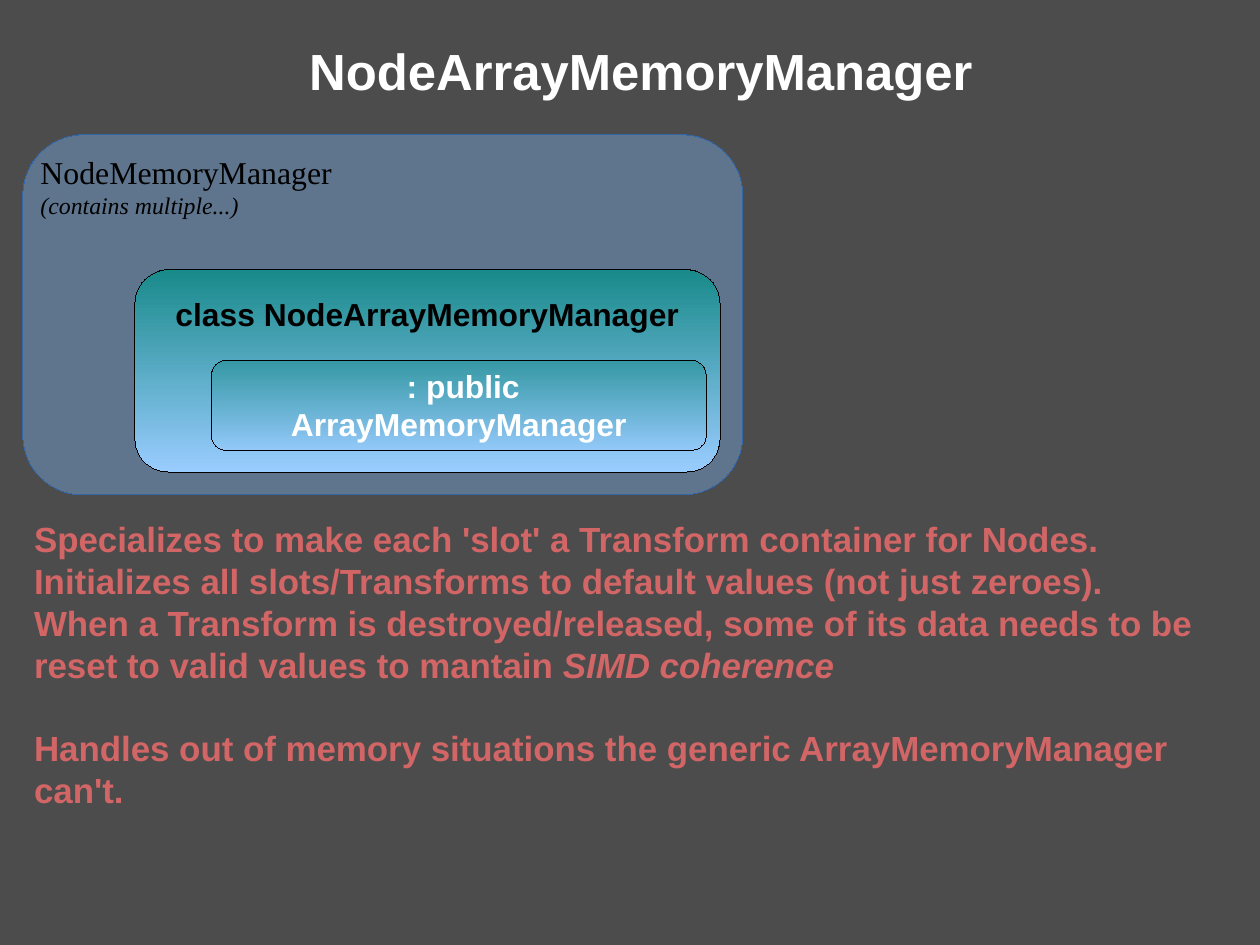
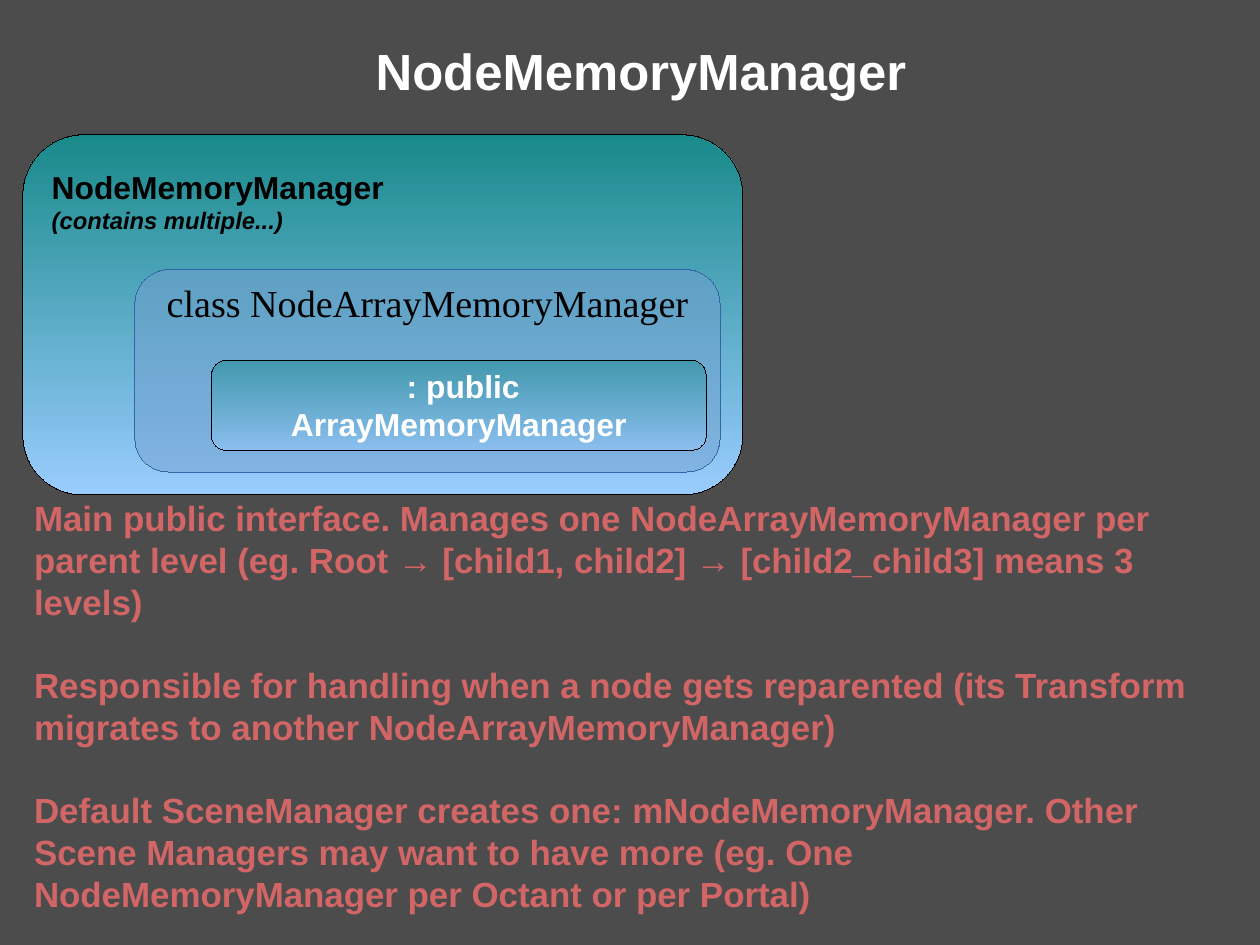
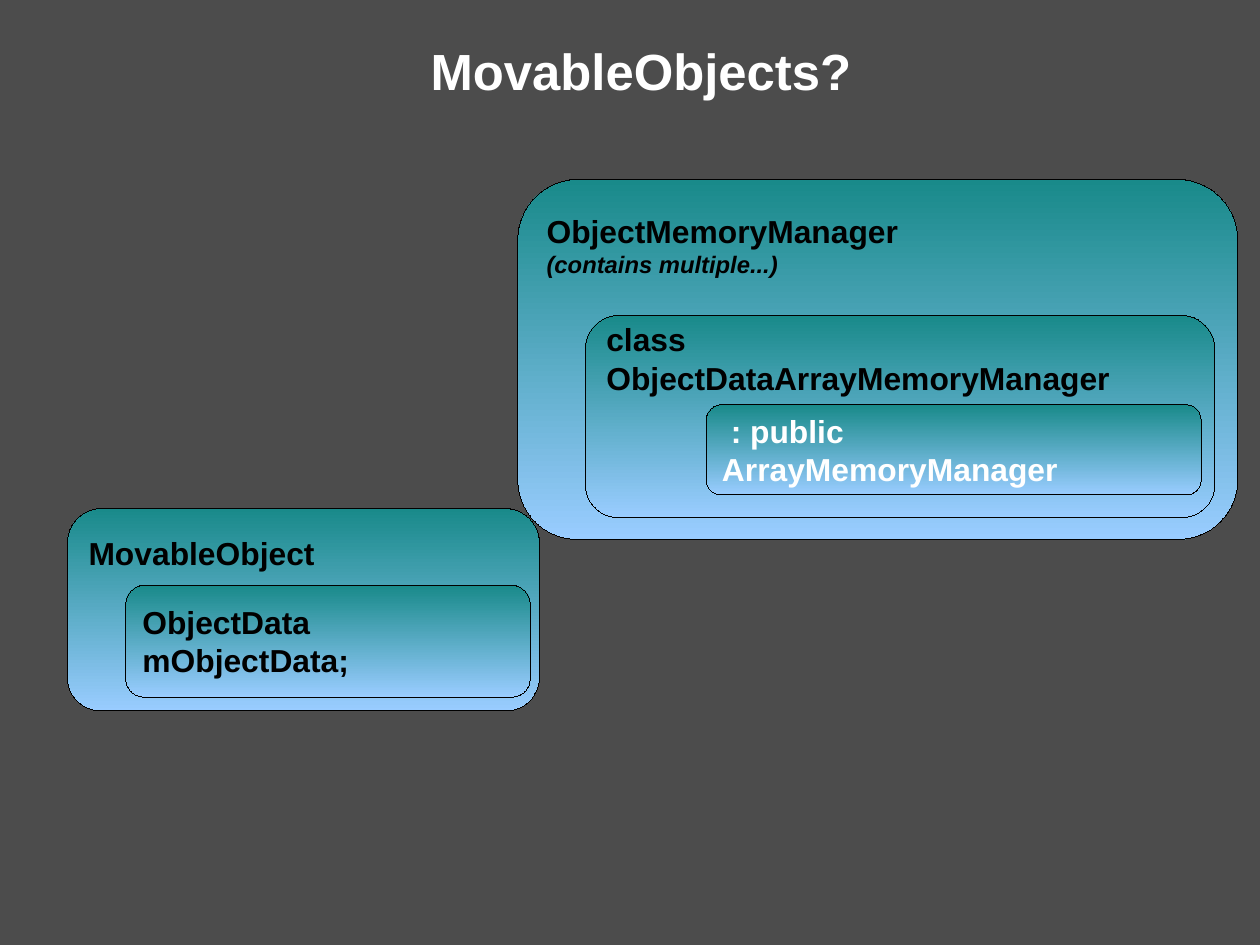
import pptx
import pptx.dml.color
import pptx.enum.shapes
import pptx.enum.text
import pptx.oxml.ns
import pptx.util
from lxml import etree

Inches = pptx.util.Inches
Pt = pptx.util.Pt
RGBColor = pptx.dml.color.RGBColor
ALIGN = pptx.enum.text.PP_ALIGN
ANCHOR = pptx.enum.text.MSO_ANCHOR

BACKDROP = RGBColor(0x4C, 0x4C, 0x4C)
TEAL = RGBColor(0x19, 0x8A, 0x8A)
SKY = RGBColor(0x99, 0xCC, 0xFF)
MUTED_BLUE = RGBColor(0x72, 0x9F, 0xCF)
MUTED_EDGE = RGBColor(0x34, 0x65, 0xA4)
BLACK = RGBColor(0, 0, 0)
WHITE = RGBColor(0xFF, 0xFF, 0xFF)
CORAL = RGBColor(0xD2, 0x65, 0x65)

ARIAL_BOLD = {"name": "Arial", "bold": True}
TITLE = {**ARIAL_BOLD, "size": Pt(32), "color": WHITE}
BODY = {**ARIAL_BOLD, "size": Pt(22), "color": CORAL}
LABEL = {**ARIAL_BOLD, "size": Pt(20), "color": BLACK}
BASE_LABEL = {**LABEL, "color": WHITE}
FADED_LABEL = {"name": "Times New Roman", "bold": False, "size": Pt(20), "color": BLACK}
FADED_LARGE = {**FADED_LABEL, "size": Pt(24)}
SUBLABEL = {"size": Pt(15), "italic": True}

MIDDLE = {"vertical_anchor": ANCHOR.MIDDLE, "margin_top": Inches(0.05),
          "margin_bottom": Inches(0.05), "margin_left": Inches(0.1),
          "margin_right": Inches(0.1)}
HEADED = {**MIDDLE, "vertical_anchor": ANCHOR.TOP, "margin_top": Inches(0.13)}
TWO_LINE_HEADED = {**MIDDLE, "margin_top": 0, "margin_bottom": Inches(1.02)}
NO_MARGINS = {"vertical_anchor": ANCHOR.TOP, "margin_top": 0, "margin_bottom": 0,
              "margin_left": 0, "margin_right": 0}

CM_PER_INCH = 2.54
PAGE = {"slide_width": Inches(28 / CM_PER_INCH), "slide_height": Inches(21 / CM_PER_INCH)}
OUTER_BOX = (0.2, 1.18, 6.3, 3.15)
ARRAY_BOX = (1.18, 2.36, 5.12, 1.77)
BASE_BOX = (1.85, 3.15, 4.33, 0.79)
TITLE_BOX = (1.77, 0.31, 7.68, 0.6)
CORNER = 0.167
PARAGRAPH_GAP = Pt(26)

ARRAY_CLASS = [("class NodeArrayMemoryManager", {})]
BASE_CLASS = [(" : public ArrayMemoryManager", {})]
CONTAINS = [("(contains multiple...)", SUBLABEL)]


def apply_format(target, values):
    for attribute, value in values.items():
        if attribute == "color":
            target.color.rgb = value
        else:
            setattr(target, attribute, value)


def write(frame, paragraphs, style, layout, align=ALIGN.LEFT, spaced=()):
    apply_format(frame, {"word_wrap": True, **layout})
    for index, pieces in enumerate(paragraphs):
        paragraph = frame.paragraphs[0] if index == 0 else frame.add_paragraph()
        paragraph.alignment = align
        if index in spaced:
            paragraph.space_before = PARAGRAPH_GAP
        for text, changes in pieces:
            run = paragraph.add_run()
            run.text = text
            apply_format(run.font, {**style, **changes})


def add_text(slide, box, paragraphs, style, align=ALIGN.LEFT, spaced=()):
    frame = slide.shapes.add_textbox(*map(Inches, box)).text_frame
    write(frame, paragraphs, style, MIDDLE, align, spaced)


def make_half_transparent(fill_parent):
    for color in fill_parent.iter(pptx.oxml.ns.qn("a:srgbClr")):
        etree.SubElement(color, pptx.oxml.ns.qn("a:alpha"), val="50000")


def set_hairline(line, color):
    line.color.rgb = color
    line._get_or_add_ln().set("w", "0")


def add_class_box(shapes, box, paragraphs, style=LABEL, layout=HEADED,
                  align=ALIGN.LEFT, faded=False, translucent=False):
    panel = shapes.add_shape(pptx.enum.shapes.MSO_SHAPE.ROUNDED_RECTANGLE,
                             *map(Inches, box))
    panel.adjustments[0] = CORNER
    panel.shadow.inherit = False
    if faded:
        panel.fill.solid()
        panel.fill.fore_color.rgb = MUTED_BLUE
    else:
        panel.fill.gradient()
        panel.fill.gradient_angle = 270
        for stop, color in zip(panel.fill.gradient_stops, (TEAL, SKY)):
            stop.color.rgb = color
    if faded or translucent:
        make_half_transparent(panel.fill._xPr)
    set_hairline(panel.line, MUTED_EDGE if faded else BLACK)
    write(panel.text_frame, paragraphs, style, layout, align)


def add_titled_slide(deck, title):
    slide = deck.slides.add_slide(deck.slide_layouts[6])
    add_text(slide, TITLE_BOX, [[(title, {})]], TITLE, ALIGN.CENTER)
    return slide


def add_base_class(slide):
    add_class_box(slide.shapes, BASE_BOX, [BASE_CLASS], BASE_LABEL, MIDDLE,
                  ALIGN.CENTER, translucent=True)


def build_node_array_slide(deck):
    slide = add_titled_slide(deck, "NodeArrayMemoryManager")
    add_class_box(slide.shapes, OUTER_BOX, [[("NodeMemoryManager", {})], CONTAINS],
                  FADED_LABEL, NO_MARGINS, faded=True)
    add_class_box(slide.shapes, ARRAY_BOX, [ARRAY_CLASS], align=ALIGN.CENTER)
    add_base_class(slide)
    add_text(slide, (0.2, 4.54, 10.43, 2.54), [
        [("Specializes to make each 'slot' a Transform container for Nodes.", {})],
        [("Initializes all slots/Transforms to default values (not just zeroes).", {})],
        [("When a Transform is destroyed/released, some of its data needs to be "
          "reset to valid values to mantain ", {}),
         ("SIMD coherence", {"italic": True})],
        [("Handles out of memory situations the generic ArrayMemoryManager can't.", {})],
    ], BODY, spaced=(3,))


def build_node_slide(deck):
    slide = add_titled_slide(deck, "NodeMemoryManager")
    add_class_box(slide.shapes, OUTER_BOX, [[("NodeMemoryManager", {})], CONTAINS])
    add_class_box(slide.shapes, ARRAY_BOX, [ARRAY_CLASS], FADED_LARGE, NO_MARGINS,
                  ALIGN.CENTER, faded=True)
    add_base_class(slide)
    add_text(slide, (0.2, 4.38, 10.63, 3.58), [
        [("Main public interface. Manages one NodeArrayMemoryManager per parent level "
          "(eg. Root → [child1, child2] → [child2_child3] means 3 levels)", {})],
        [("Responsible for handling when a node gets reparented (its Transform "
          "migrates to another NodeArrayMemoryManager)", {})],
        [("Default SceneManager creates one: mNodeMemoryManager. Other Scene Managers "
          "may want to have more (eg. One NodeMemoryManager per Octant or per Portal)", {})],
    ], BODY, spaced=(1, 2))


def build_movable_objects_slide(deck):
    slide = add_titled_slide(deck, "MovableObjects?")
    manager = slide.shapes.add_group_shape().shapes
    add_class_box(manager, (4.53, 1.57, 6.3, 3.15),
                  [[("ObjectMemoryManager", {})], CONTAINS])
    add_class_box(manager, (5.12, 2.76, 5.51, 1.77),
                  [[("class ObjectDataArrayMemoryManager", {})]], layout=TWO_LINE_HEADED)
    add_class_box(manager, (6.18, 3.54, 4.33, 0.79), [BASE_CLASS], BASE_LABEL, MIDDLE)
    movable = slide.shapes.add_group_shape().shapes
    add_class_box(movable, (0.59, 4.45, 4.13, 1.77), [[("MovableObject", {})]])
    add_class_box(movable, (1.1, 5.12, 3.54, 0.98),
                  [[("ObjectData mObjectData;", {})]], layout=MIDDLE)


def main():
    deck = pptx.Presentation()
    apply_format(deck, PAGE)
    backdrop = deck.slide_master.background.fill
    backdrop.solid()
    backdrop.fore_color.rgb = BACKDROP
    build_node_array_slide(deck)
    build_node_slide(deck)
    build_movable_objects_slide(deck)
    deck.save("out.pptx")


if __name__ == "__main__":
    main()
